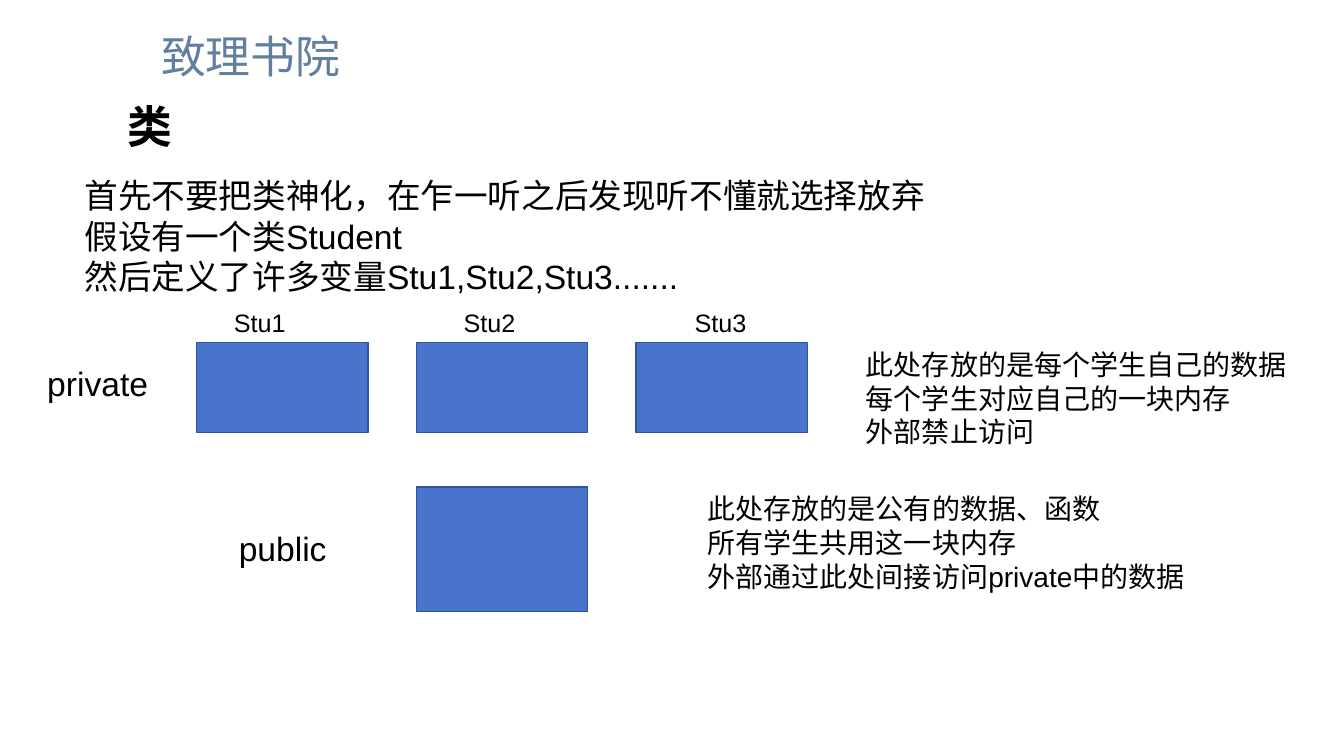
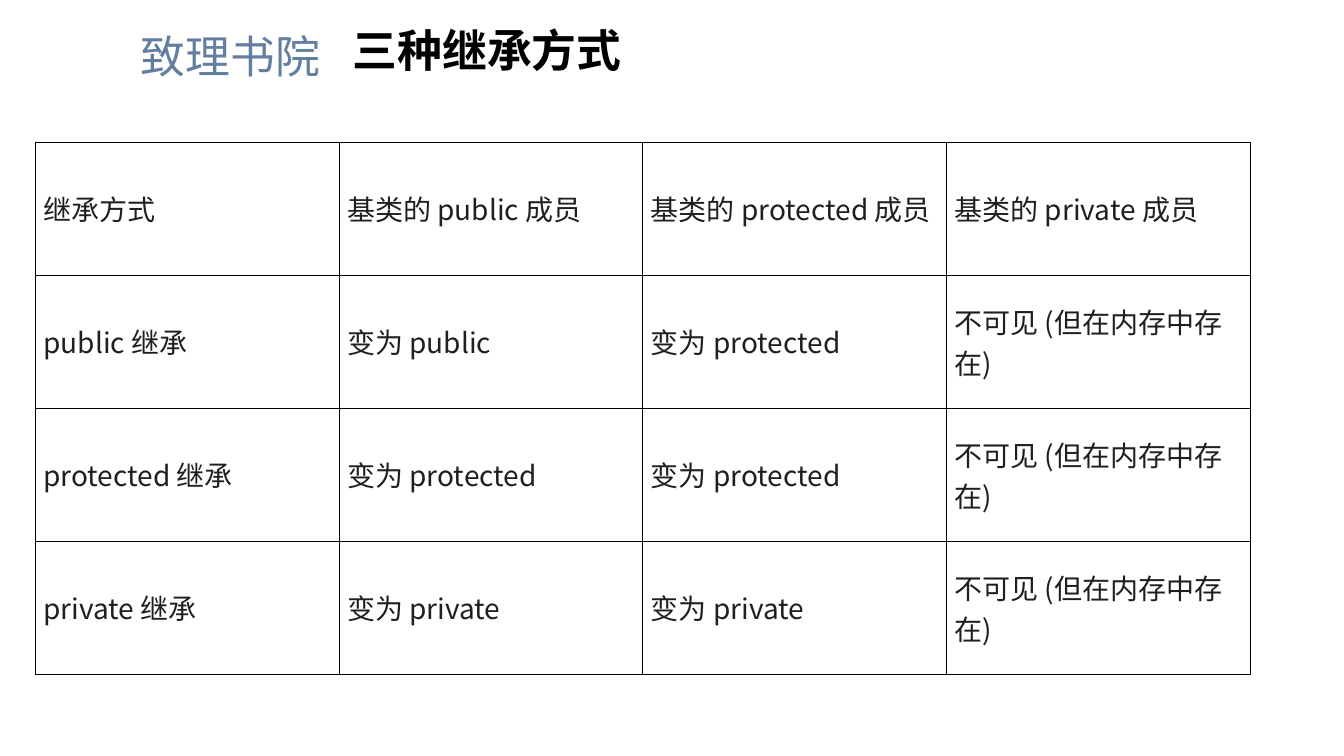
from lxml import etree
from pptx import Presentation
from pptx.dml.color import RGBColor
from pptx.enum import shapes, text
from pptx.oxml import ns
from pptx.util import Inches, Pt

COLOURS = {
    "college": "637FA0",
    "text": "000000",
    "cell": "1F1F1F",
    "memory": "4874CB",
    "memory_edge": "2E54A1",
    "grid": "000000",
}
CJK, LATIN = "Noto Sans CJK SC", "Arial"
COLLEGE = "致理书院"

CLASS_TITLE = "类"
INTRO = [
    "首先不要把类神化，在乍一听之后发现听不懂就选择放弃",
    "假设有一个类Student",
    "然后定义了许多变量Stu1,Stu2,Stu3.......",
]
STUDENTS = [("Stu1", 2.22), ("Stu2", 4.5), ("Stu3", 6.79)]
PRIVATE_NOTES = [
    "此处存放的是每个学生自己的数据",
    "每个学生对应自己的一块内存",
    "外部禁止访问",
]
PUBLIC_NOTES = [
    "此处存放的是公有的数据、函数",
    "所有学生共用这一块内存",
    "外部通过此处间接访问private中的数据",
]
MEMORY_LEFT, MEMORY_STEP, MEMORY_WIDTH = 1.95, 2.18, 1.7
PRIVATE_TOP, PUBLIC_TOP = 3.4, 4.83

INHERIT_TITLE = "三种继承方式"
HIDDEN = "不可见 (但在内存中存在)"
INHERITANCE = [
    ("继承方式", "基类的 public 成员", "基类的 protected 成员", "基类的 private 成员"),
    ("public 继承", "变为 public", "变为 protected", HIDDEN),
    ("protected 继承", "变为 protected", "变为 protected", HIDDEN),
    ("private 继承", "变为 private", "变为 private", HIDDEN),
]


def colour(name):
    return RGBColor.from_string(COLOURS[name])


def add_span(para, words, size, font, tint="text", bold=False):
    span = para.add_run()
    span.text = words
    span.font.size = Pt(size)
    span.font.name = font
    span.font.bold = bold
    span.font.color.rgb = colour(tint)
    east_asian = etree.SubElement(span.font._element, ns.qn("a:ea"))
    east_asian.set("typeface", font)


def add_text(page, lines, left, top, width, height, size, font=LATIN, **style):
    box = page.shapes.add_textbox(*map(Inches, (left, top, width, height)))
    frame = box.text_frame
    frame.word_wrap = True
    for index, line in enumerate(lines):
        para = frame.add_paragraph() if index else frame.paragraphs[0]
        add_span(para, line, size, font, **style)


def add_college(page, left):
    add_text(page, [COLLEGE], left, 0.24, 2, 0.69, 32, CJK, tint="college")


def add_title(page, title, left, top, width):
    add_text(page, [title], left, top, width, 0.64, 32, CJK, bold=True)


def add_memory(page, column, top, height):
    left = MEMORY_LEFT + column * MEMORY_STEP
    block = page.shapes.add_shape(
        shapes.MSO_SHAPE.RECTANGLE, *map(Inches, (left, top, MEMORY_WIDTH, height)))
    block.shadow.inherit = False
    block.fill.solid()
    block.fill.fore_color.rgb = colour("memory")
    block.line.color.rgb = colour("memory_edge")
    block.line.width = Pt(1)


def set_borders(cell):
    properties = cell._tc.get_or_add_tcPr()
    for index, side in enumerate(("lnL", "lnR", "lnT", "lnB")):
        line = etree.Element(ns.qn(f"a:{side}"), w=str(Pt(0.5)))
        fill = etree.SubElement(line, ns.qn("a:solidFill"))
        etree.SubElement(fill, ns.qn("a:srgbClr"), val=COLOURS["grid"])
        properties.insert(index, line)


def add_grid(page, rows, left, top, width, height):
    table = page.shapes.add_table(
        len(rows), len(rows[0]), *map(Inches, (left, top, width, height))).table
    table.first_row = table.horz_banding = False
    for row, values in enumerate(rows):
        for column, value in enumerate(values):
            cell = table.cell(row, column)
            cell.fill.background()
            cell.vertical_anchor = text.MSO_ANCHOR.MIDDLE
            cell.margin_left = cell.margin_right = Inches(0.08)
            cell.margin_top = cell.margin_bottom = Inches(0.06)
            add_span(cell.text_frame.paragraphs[0], value, 20, CJK, "cell")
            set_borders(cell)


def build_class_page(page):
    add_college(page, 1.5)
    add_title(page, CLASS_TITLE, 1.17, 0.93, 1.76)
    add_text(page, INTRO, 0.74, 1.69, 12.32, 1.37, 24)
    for column, (name, left) in enumerate(STUDENTS):
        add_memory(page, column, PRIVATE_TOP, 0.89)
        add_text(page, [name], left, 3, 1.22, 0.4, 18)
    add_text(page, ["private"], 0.37, 3.55, 1.36, 0.5, 24)
    add_text(page, PRIVATE_NOTES, 8.49, PRIVATE_TOP, 4.44, 1.11, 20)
    add_memory(page, 1, PUBLIC_TOP, 1.24)
    add_text(page, ["public"], 2.27, 5.19, 1.7, 0.5, 24)
    add_text(page, PUBLIC_NOTES, 6.92, PUBLIC_TOP, 5.37, 1.36, 20)


def build_inheritance_page(page):
    add_title(page, INHERIT_TITLE, 3.4, 0.18, 6.54)
    add_college(page, 1.3)
    add_grid(page, INHERITANCE, 0.35, 1.41, 12.05, 5.28)


def main():
    deck = Presentation()
    deck.slide_width, deck.slide_height = Inches(13.33), Inches(7.5)
    for build in (build_class_page, build_inheritance_page):
        build(deck.slides.add_slide(deck.slide_layouts[6]))
    deck.save("out.pptx")


if __name__ == "__main__":
    main()
